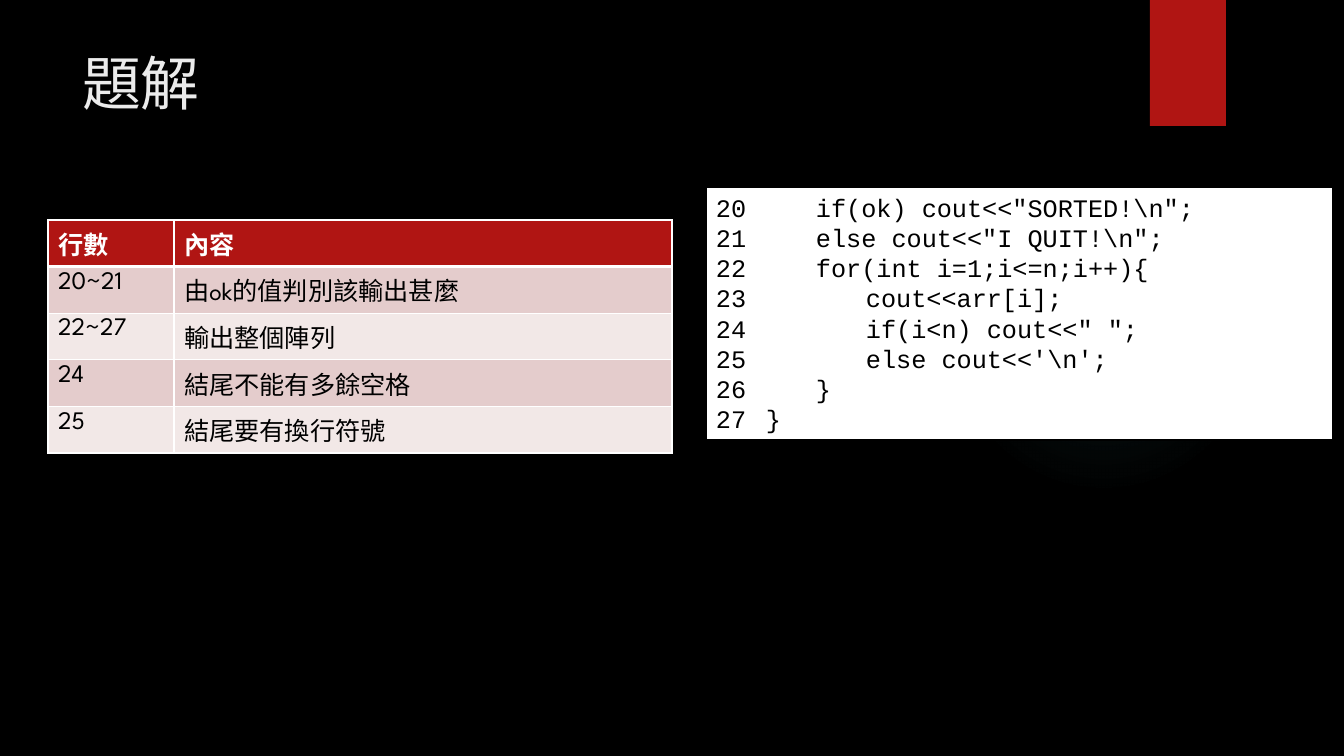
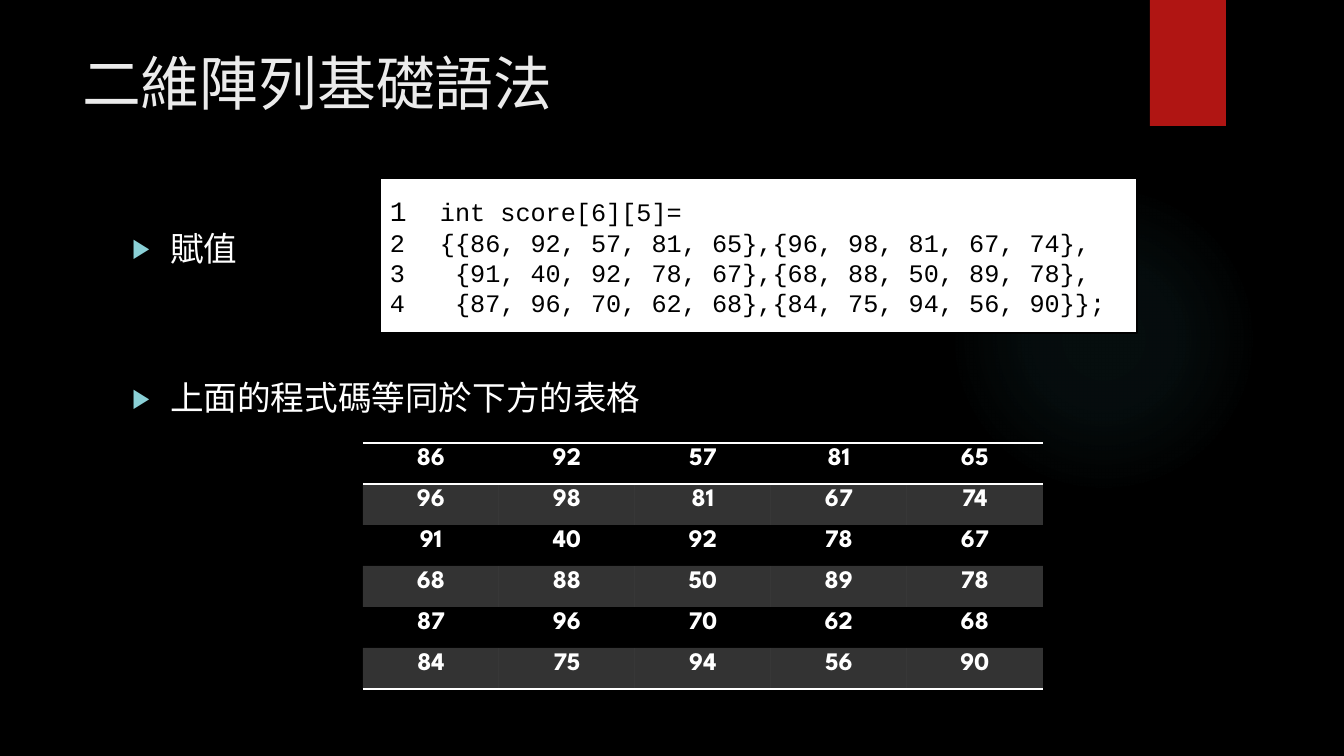
from lxml.etree import SubElement
from pptx import Presentation
from pptx.dml.color import RGBColor
from pptx.enum.shapes import MSO_SHAPE
from pptx.enum.text import MSO_ANCHOR, MSO_AUTO_SIZE, PP_ALIGN
from pptx.oxml import parse_xml
from pptx.oxml.ns import nsdecls, qn
from pptx.util import Pt

EMU_PER_PX = 914400 / 100.8
COLORS = {
    "background": "000000",
    "title": "EBEBEB",
    "text": "FFFFFF",
    "code": "000000",
    "paper": "FFFFFF",
    "accent": "B01513",
    "glow": "50B9C1",
    "bullet": "8AD0D6",
    "band_dark": "E4CCCC",
    "band_light": "F2E8E7",
}
BODY_FONT = "League Spartan"
CODE_FONT = "Courier New"
TAB_WIDTH = 50
NO_TABLE_STYLE = "{2D5ABB26-0587-4C30-8999-92F81FD0307C}"
GLOW_STOPS = [(0, 7), (36, 6), (69, 0), (100, 0)]

OUTPUT_LINES = [
    (20, 2, r'if(ok) cout<<"SORTED!\n";'),
    (21, 2, r'else cout<<"I QUIT!\n";'),
    (22, 2, "for(int i=1;i<=n;i++){"),
    (23, 3, "cout<<arr[i];"),
    (24, 3, 'if(i<n) cout<<" ";'),
    (25, 3, r"else cout<<'\n';"),
    (26, 2, "}"),
    (27, 1, "}"),
]
SCORE_LINES = [
    (1, 1, "int score[6][5]="),
    (2, 1, "{{86, 92, 57, 81, 65},{96, 98, 81, 67, 74},"),
    (3, 1, " {91, 40, 92, 78, 67},{68, 88, 50, 89, 78},"),
    (4, 1, " {87, 96, 70, 62, 68},{84, 75, 94, 56, 90}};"),
]
EXPLANATIONS = [
    ("行數", "內容"),
    ("20~21", "由ok的值判別該輸出甚麼"),
    ("22~27", "輸出整個陣列"),
    ("24", "結尾不能有多餘空格"),
    ("25", "結尾要有換行符號"),
]
SCORES = [
    (86, 92, 57, 81, 65),
    (96, 98, 81, 67, 74),
    (91, 40, 92, 78, 67),
    (68, 88, 50, 89, 78),
    (87, 96, 70, 62, 68),
    (84, 75, 94, 56, 90),
]


def px(length):
    return round(length * EMU_PER_PX)


def area(left, top, width, height):
    return px(left), px(top), px(width), px(height)


def rgb(color):
    return RGBColor.from_string(COLORS[color])


def apply(target, **values):
    for name, value in values.items():
        setattr(target, name, value)


def add_span(para, text, size, color, font=BODY_FONT, bold=False):
    span = para.add_run()
    span.text = text
    apply(span.font, name=font, size=Pt(size), bold=bold)
    span.font.color.rgb = rgb(color)


def add_plain_shape(page, kind, place, color):
    shape = page.shapes.add_shape(kind, *area(*place))
    shape.shadow.inherit = False
    shape.fill.solid()
    shape.fill.fore_color.rgb = rgb(color)
    shape.line.fill.background()
    return shape


def add_glow(page):
    glow = add_plain_shape(page, MSO_SHAPE.OVAL, (949, 184, 310, 310), "glow")
    stops = "".join(
        f'<a:gs pos="{place * 1000}"><a:srgbClr val="{COLORS["glow"]}">'
        f'<a:alpha val="{alpha * 1000}"/></a:srgbClr></a:gs>'
        for place, alpha in GLOW_STOPS
    )
    gradient = parse_xml(
        f'<a:gradFill {nsdecls("a")}><a:gsLst>{stops}</a:gsLst><a:path path="circle">'
        '<a:fillToRect l="50000" t="50000" r="50000" b="50000"/></a:path></a:gradFill>'
    )
    properties = glow._element.spPr
    properties.replace(properties.find(qn("a:solidFill")), gradient)
    page.shapes._spTree.insert(2, glow._element)


def place_placeholder(box, place):
    left, top, width, height = area(*place)
    apply(box, left=left, top=top, width=width, height=height)
    apply(
        box.text_frame,
        word_wrap=True,
        auto_size=MSO_AUTO_SIZE.NONE,
        vertical_anchor=MSO_ANCHOR.TOP,
    )


def add_page(deck, layout, title):
    page = deck.slides.add_slide(deck.slide_layouts.get_by_name(layout))
    add_glow(page)
    add_plain_shape(page, MSO_SHAPE.RECTANGLE, (1150, 0, 76, 126), "accent")
    box = page.shapes.title
    place_placeholder(box, (72, 50, 1037, 154))
    para = box.text_frame.paragraphs[0]
    apply(para, alignment=PP_ALIGN.LEFT, line_spacing=0.9)
    add_span(para, title, 42, "title")
    return page


def add_bullets(page, place, items, gap):
    box = page.placeholders[1]
    place_placeholder(box, place)
    for index, item in enumerate(items):
        frame = box.text_frame
        para = frame.add_paragraph() if index else frame.paragraphs[0]
        apply(para, line_spacing=0.9, space_before=Pt(gap if index else 10))
        properties = para._p.get_or_add_pPr()
        properties.set("marL", str(px(38)))
        properties.set("indent", str(-px(38)))
        color = SubElement(properties, qn("a:buClr"))
        SubElement(color, qn("a:srgbClr"), val=COLORS["bullet"])
        SubElement(properties, qn("a:buSzPct"), val="80000")
        SubElement(properties, qn("a:buChar"), char="▶")
        add_span(para, item, 24, "text")


def add_code(page, place, lines, anchor, first_number_size=18):
    box = add_plain_shape(page, MSO_SHAPE.RECTANGLE, place, "paper")
    box.line.color.rgb = rgb("code")
    box.line.width = Pt(1.5)
    frame = box.text_frame
    apply(frame, word_wrap=True, vertical_anchor=anchor)
    for index, (number, tabs, code) in enumerate(lines):
        para = frame.add_paragraph() if index else frame.paragraphs[0]
        para.alignment = PP_ALIGN.LEFT
        para._p.get_or_add_pPr().set("defTabSz", str(px(TAB_WIDTH)))
        number_size = 18 if index else first_number_size
        add_span(para, f"{number}" + "\t" * tabs, number_size, "code", CODE_FONT)
        add_span(para, code, 18, "code", CODE_FONT)


def set_borders(cell, widths):
    properties = cell._tc.get_or_add_tcPr()
    for index, side in enumerate(side for side in "LRTB" if side in widths):
        border = parse_xml(
            f'<a:ln{side} {nsdecls("a")} w="{Pt(widths[side])}"><a:solidFill>'
            f'<a:srgbClr val="{COLORS["paper"]}"/></a:solidFill></a:ln{side}>'
        )
        properties.insert(index, border)


def fill_cell(cell, color, alpha):
    if color is None:
        cell.fill.background()
        return
    cell.fill.solid()
    cell.fill.fore_color.rgb = rgb(color)
    if alpha < 100:
        tone = cell._tc.tcPr.find(qn("a:solidFill")).find(qn("a:srgbClr"))
        SubElement(tone, qn("a:alpha"), val=str(alpha * 1000))


def add_grid(page, corner, widths, row_height, rows, row_look):
    place = (*corner, sum(widths), row_height * len(rows))
    table = page.shapes.add_table(len(rows), len(widths), *area(*place)).table
    apply(table, first_row=False, horz_banding=False)
    table._tbl.tblPr.find(qn("a:tableStyleId")).text = NO_TABLE_STYLE
    for column, width in zip(table.columns, widths):
        column.width = px(width)
    for row_index, values in enumerate(rows):
        table.rows[row_index].height = px(row_height)
        look = row_look(row_index)
        for column_index, value in enumerate(values):
            cell = table.cell(row_index, column_index)
            fill_cell(cell, look["fill"], look.get("alpha", 100))
            set_borders(cell, look["borders"])
            para = cell.text_frame.paragraphs[0]
            para.alignment = look["alignment"]
            add_span(para, str(value), 18, look["color"], bold=look["bold"])


def explanation_look(row):
    header = row == 0
    borders = {"L": 1, "R": 1, "B": 1}
    if header:
        borders.update(T=1, B=3)
    band = "band_dark" if row % 2 else "band_light"
    return {
        "fill": "accent" if header else band,
        "color": "text" if header else "code",
        "bold": header,
        "alignment": PP_ALIGN.LEFT,
        "borders": borders,
    }


def score_look(row):
    borders = {0: {"T": 1, "B": 1}, len(SCORES) - 1: {"B": 1}}
    return {
        "fill": "paper" if row % 2 else None,
        "alpha": 20,
        "color": "text",
        "bold": True,
        "alignment": PP_ALIGN.CENTER,
        "borders": borders.get(row, {}),
    }


def build_solution(deck):
    page = add_page(deck, "Title Only", "題解")
    add_code(page, (706, 187, 627, 253), OUTPUT_LINES, MSO_ANCHOR.TOP)
    add_grid(page, (48, 220), (126, 498), 46, EXPLANATIONS, explanation_look)


def build_array_syntax(deck):
    page = add_page(deck, "Title and Content", "二維陣列基礎語法")
    items = ["賦值", "上面的程式碼等同於下方的表格"]
    add_bullets(page, (122, 227, 986, 463), items, 81)
    add_code(page, (380, 178, 757, 155), SCORE_LINES, MSO_ANCHOR.MIDDLE, 20)
    add_grid(page, (363, 443), [136] * 5, 41, SCORES, score_look)


def main():
    deck = Presentation()
    apply(deck, slide_width=px(1344), slide_height=px(756))
    backdrop = deck.slide_master.background.fill
    backdrop.solid()
    backdrop.fore_color.rgb = rgb("background")
    build_solution(deck)
    build_array_syntax(deck)
    deck.save("out.pptx")


if __name__ == "__main__":
    main()
